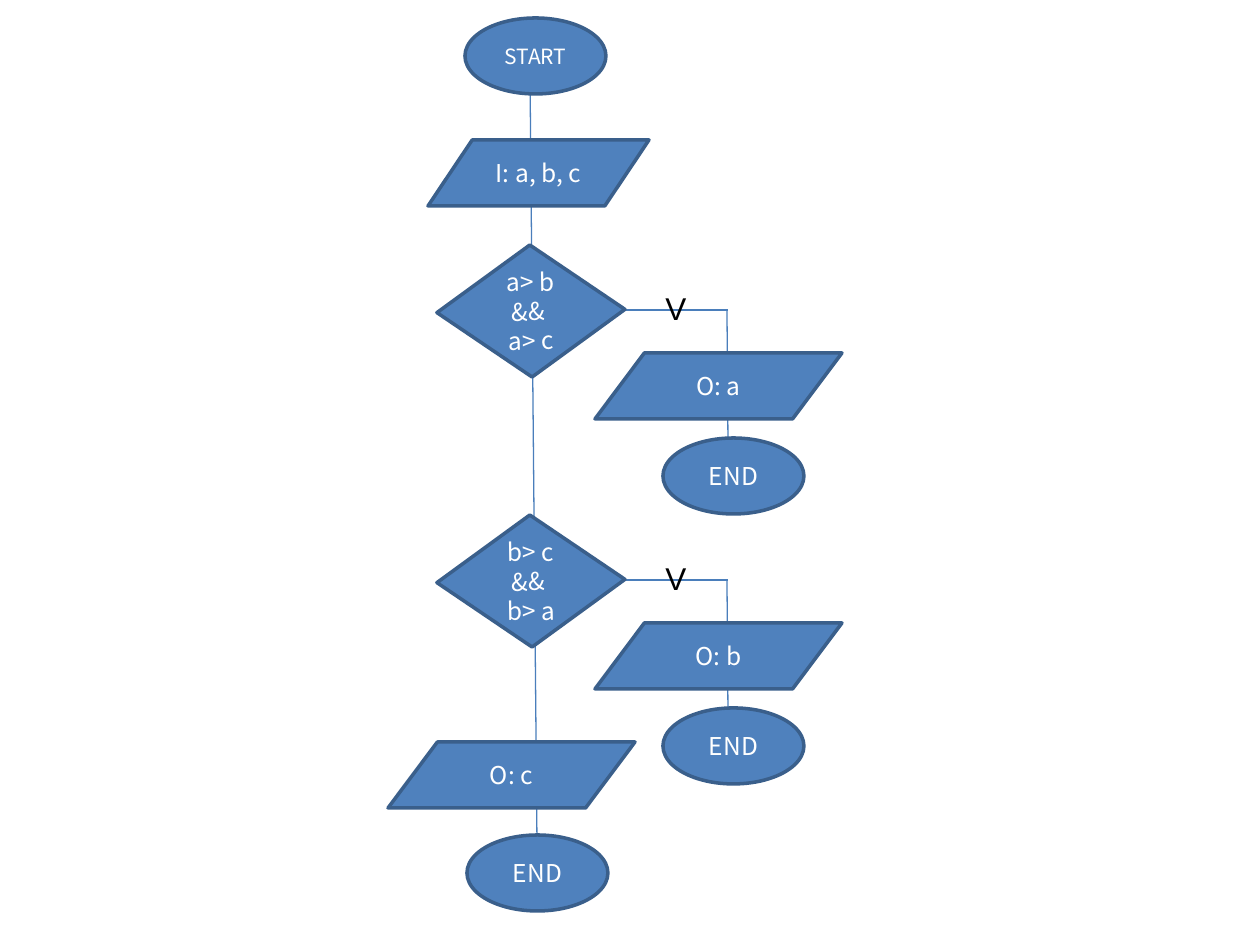
from dataclasses import dataclass

from pptx import Presentation
from pptx.dml.color import RGBColor
from pptx.enum.shapes import MSO_CONNECTOR, MSO_SHAPE
from pptx.enum.text import MSO_ANCHOR, PP_ALIGN
from pptx.oxml.ns import qn
from pptx.util import Pt
from lxml.etree import SubElement

SCALE = 914400 / 126
PILL = (141, 76)
INPUT = (221, 66)
OUTPUT = (247, 66)
TEST = (188, 132)
STEP = 270  # drop from one test to the next


@dataclass(frozen=True)
class Theme:
    fill: RGBColor = RGBColor(0x4F, 0x81, 0xBD)
    edge: RGBColor = RGBColor(0x3A, 0x5F, 0x8B)
    wire: RGBColor = RGBColor(0x4A, 0x7E, 0xBB)
    light: RGBColor = RGBColor(0xFF, 0xFF, 0xFF)
    dark: RGBColor = RGBColor(0, 0, 0)
    font: str = "Noto Sans CJK JP"
    sign: str = "Arial"
    small: int = 12
    body: int = 14
    large: int = 18
    thick: float = 2
    thin: float = 0.75


THEME = Theme()


def px(*nums):
    return [round(n * SCALE) for n in nums]


def write(frame, lines, color, size, font, **paras):
    frame.word_wrap = True
    frame.vertical_anchor = MSO_ANCHOR.MIDDLE
    frame.text = "\n".join(lines)
    looks = {"size": Pt(size), "name": font}
    for para in frame.paragraphs:
        for key, value in {"alignment": PP_ALIGN.CENTER, **paras}.items():
            setattr(para, key, value)
        for run in para.runs:
            run.font.color.rgb = color
            for key, value in looks.items():
                setattr(run.font, key, value)


def node(slide, kind, left, top, extent, *lines, size=THEME.body):
    shape = slide.shapes.add_shape(kind, *px(left, top, *extent))
    shape.shadow.inherit = False
    shape.fill.solid()
    shape.fill.fore_color.rgb = THEME.fill
    shape.line.color.rgb = THEME.edge
    shape.line.width = Pt(THEME.thick)
    write(shape.text_frame, lines, THEME.light, size, THEME.font)
    return shape


def wire(slide, *ends):
    line = slide.shapes.add_connector(MSO_CONNECTOR.STRAIGHT, *px(*ends))
    line.line.color.rgb = THEME.wire
    line.line.width = Pt(THEME.thin)
    SubElement(line._element.spPr, qn("a:effectLst"))


def label(slide, left, top, width, height, text):
    box = slide.shapes.add_textbox(*px(left, top, width, height))
    box.text_frame.margin_top = px(9)[0]
    write(box.text_frame, [text], THEME.dark, THEME.large, THEME.sign,
          line_spacing=0.93)


def branch(slide, top, tests, result):
    """Draw a test with its true exit: label, output and end."""
    mid = top + 65
    wire(slide, 625, mid, 728, mid)
    label(slide, 625, top + 39, 102, 50, "V")
    wire(slide, 727, mid, 728, top + 195)
    test = node(slide, MSO_SHAPE.DIAMOND, 437, top, TEST, *tests)
    test.rotation = 359
    node(slide, MSO_SHAPE.FLOWCHART_DATA, 595, top + 108, OUTPUT, result)
    node(slide, MSO_SHAPE.OVAL, 663, top + 193, PILL, "END")


def main():
    deck = Presentation()
    deck.slide_width, deck.slide_height = px(1260, 945)
    slide = deck.slides.add_slide(deck.slide_layouts[6])

    wire(slide, 537, 842, 530, 73)
    node(slide, MSO_SHAPE.OVAL, 465, 18, PILL, "START", size=THEME.small)
    node(slide, MSO_SHAPE.FLOWCHART_DATA, 428, 140, INPUT, "I: a, b, c")
    rows = [
        (["a> b && ", "a> c"], "O: a"),
        (["b> c && ", "b> a"], "O: b"),
    ]
    for index, (tests, result) in enumerate(rows):
        branch(slide, 245 + index * STEP, tests, result)
    node(slide, MSO_SHAPE.FLOWCHART_DATA, 388, 742, OUTPUT, "O: c")
    node(slide, MSO_SHAPE.OVAL, 467, 835, PILL, "END")

    deck.save("out.pptx")


if __name__ == "__main__":
    main()
